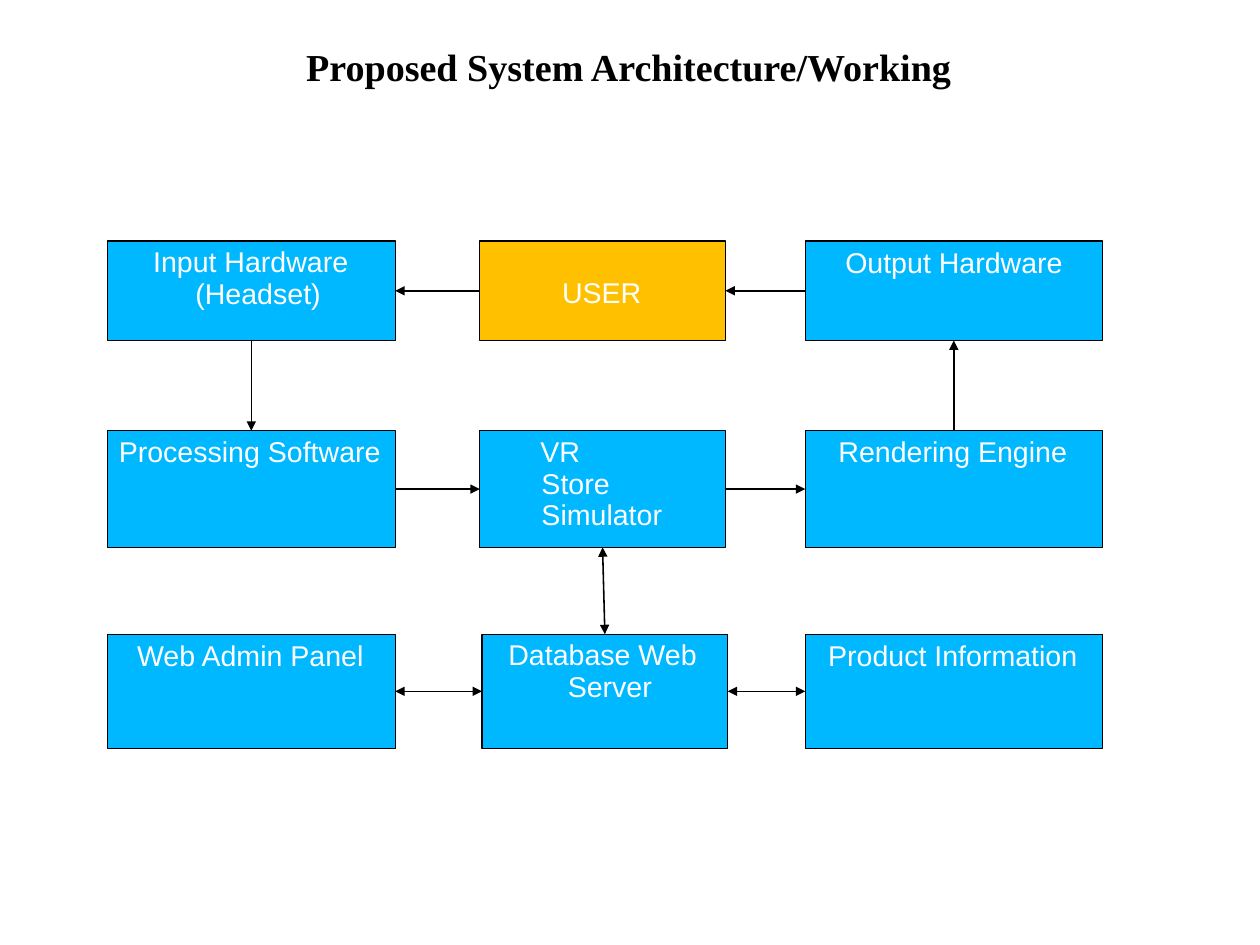
from dataclasses import dataclass

from lxml.etree import SubElement
from pptx import Presentation
from pptx.dml.color import RGBColor
from pptx.enum.shapes import MSO_CONNECTOR, MSO_SHAPE
from pptx.enum.text import MSO_ANCHOR, PP_ALIGN
from pptx.oxml.ns import qn
from pptx.shapes.autoshape import Shape
from pptx.slide import Slide
from pptx.text.text import _Paragraph
from pptx.util import Inches, Pt


@dataclass(frozen=True)
class Theme:
    """Colours, fonts and type sizes of the slide."""

    ink: RGBColor = RGBColor(0, 0, 0)
    label: RGBColor = RGBColor(255, 255, 255)
    module: RGBColor = RGBColor(0x00, 0xB8, 0xFF)
    user: RGBColor = RGBColor(0xFF, 0xC0, 0x00)
    title_font: str = "Times New Roman"
    label_font: str = "Arial"
    title_size: Pt = Pt(24)
    label_size: Pt = Pt(18)
    line_pitch: Pt = Pt(20)
    outline: Pt = Pt(0.8)
    arrow: Pt = Pt(1)


@dataclass(frozen=True)
class Module:
    """A box on the grid; text offsets are inches from its left and top edge."""

    column: int
    row: int
    lines: tuple[str, ...]
    first_indent: float
    next_indent: float = 0
    text_top: float = 0.03
    shift: float = 0
    fill: RGBColor = Theme.module


@dataclass(frozen=True)
class Flow:
    """An arrow between two modules, leaving and entering at given sites."""

    source: str
    target: str
    leave: int
    enter: int
    both_ways: bool = False


THEME = Theme()
COLUMNS = ((0.94, 2.52), (4.2, 2.15), (7.05, 2.6))
ROWS = ((2.11, 0.87), (3.77, 1.02), (5.55, 1.0))
TOP, LEFT, BOTTOM, RIGHT = range(4)

MODULES = {
    "input": Module(0, 0, ("Input Hardware", "(Headset)"), 0.4, 0.77, 0.05),
    "user": Module(1, 0, ("USER",), 0.72, text_top=0.3, fill=THEME.user),
    "output": Module(2, 0, ("Output Hardware",), 0.35),
    "processing": Module(0, 1, ("Processing Software",), 0.1),
    "simulator": Module(1, 1, ("VR", "Store", "Simulator"), 0.53, 0.54, 0.05),
    "rendering": Module(2, 1, ("Rendering Engine",), 0.29),
    "admin": Module(0, 2, ("Web Admin Panel",), 0.26),
    "database": Module(1, 2, ("Database Web", "Server"), 0.23, 0.75, 0.05, 0.02),
    "product": Module(2, 2, ("Product Information",), 0.2),
}
FLOWS = (
    Flow("user", "input", LEFT, RIGHT),
    Flow("output", "user", LEFT, RIGHT),
    Flow("input", "processing", BOTTOM, TOP),
    Flow("processing", "simulator", RIGHT, LEFT),
    Flow("simulator", "rendering", RIGHT, LEFT),
    Flow("rendering", "output", TOP, BOTTOM),
    Flow("simulator", "database", BOTTOM, TOP, both_ways=True),
    Flow("admin", "database", RIGHT, LEFT, both_ways=True),
    Flow("database", "product", RIGHT, LEFT, both_ways=True),
)
TITLE_FONT = {"name": THEME.title_font, "size": THEME.title_size, "bold": True}
LABEL_FONT = {"name": THEME.label_font, "size": THEME.label_size}


def set_values(target: object, values: dict) -> None:
    """Set each named attribute on the target."""
    for name, value in values.items():
        setattr(target, name, value)


def format_spans(para: _Paragraph, font: dict, color: RGBColor) -> None:
    """Apply font values and colour to every span of a paragraph."""
    for span in para.runs:
        set_values(span.font, font)
        span.font.color.rgb = color


def set_frame(box: Shape, left: float, top: float, anchor: MSO_ANCHOR, wrap: bool) -> None:
    """Set the insets, anchor and wrapping of a box's text."""
    set_values(box.text_frame, {
        "margin_left": Inches(left), "margin_top": Inches(top),
        "margin_right": 0, "margin_bottom": 0,
        "vertical_anchor": anchor, "word_wrap": wrap,
    })


def add_title(page: Slide, text: str) -> None:
    """Place and format the title placeholder."""
    title = page.shapes.title
    set_values(title, {"left": Inches(2.67), "top": Inches(0.37),
                       "width": Inches(5.67), "height": Inches(0.42)})
    title.text_frame.text = text
    set_frame(title, 0.01, 0, MSO_ANCHOR.MIDDLE, False)
    para = title.text_frame.paragraphs[0]
    para.alignment = PP_ALIGN.LEFT
    format_spans(para, TITLE_FONT, THEME.ink)


def add_module(page: Slide, module: Module) -> Shape:
    """Draw one labelled box in its grid cell."""
    left, width = COLUMNS[module.column]
    top, height = ROWS[module.row]
    box = page.shapes.add_shape(
        MSO_SHAPE.RECTANGLE, Inches(left + module.shift), Inches(top), Inches(width), Inches(height)
    )
    box.shadow.inherit = False
    box.fill.solid()
    box.fill.fore_color.rgb = module.fill
    box.line.color.rgb = THEME.ink
    box.line.width = THEME.outline
    set_frame(box, 0, module.text_top, MSO_ANCHOR.TOP, True)

    para = box.text_frame.paragraphs[0]
    para.text = "\v".join(module.lines)
    para.alignment = PP_ALIGN.LEFT
    if len(module.lines) > 1:
        para.line_spacing = THEME.line_pitch
    margin = module.next_indent or module.first_indent
    properties = para._p.get_or_add_pPr()
    properties.set("marL", str(Inches(margin)))
    properties.set("indent", str(Inches(module.first_indent - margin)))
    format_spans(para, LABEL_FONT, THEME.label)
    return box


def add_flow(page: Slide, flow: Flow, boxes: dict[str, Shape]) -> None:
    """Join two boxes with an arrow."""
    arrow = page.shapes.add_connector(MSO_CONNECTOR.STRAIGHT, 0, 0, 0, 0)
    arrow.begin_connect(boxes[flow.source], flow.leave)
    arrow.end_connect(boxes[flow.target], flow.enter)
    arrow.line.color.rgb = THEME.ink
    arrow.line.width = THEME.arrow
    properties = arrow.element.spPr
    line = properties.find(qn("a:ln"))
    for end in ("a:headEnd", "a:tailEnd") if flow.both_ways else ("a:tailEnd",):
        SubElement(line, qn(end), type="triangle")
    SubElement(properties, qn("a:effectLst"))


def build_deck() -> None:
    """Build the architecture slide and save it."""
    deck = Presentation()
    set_values(deck, {"slide_width": Inches(11.03), "slide_height": Inches(8.27)})
    page = deck.slides.add_slide(deck.slide_layouts.get_by_name("Title Only"))
    add_title(page, "Proposed System Architecture/Working")
    boxes = {name: add_module(page, module) for name, module in MODULES.items()}
    for flow in FLOWS:
        add_flow(page, flow, boxes)
    deck.save("out.pptx")


build_deck()
